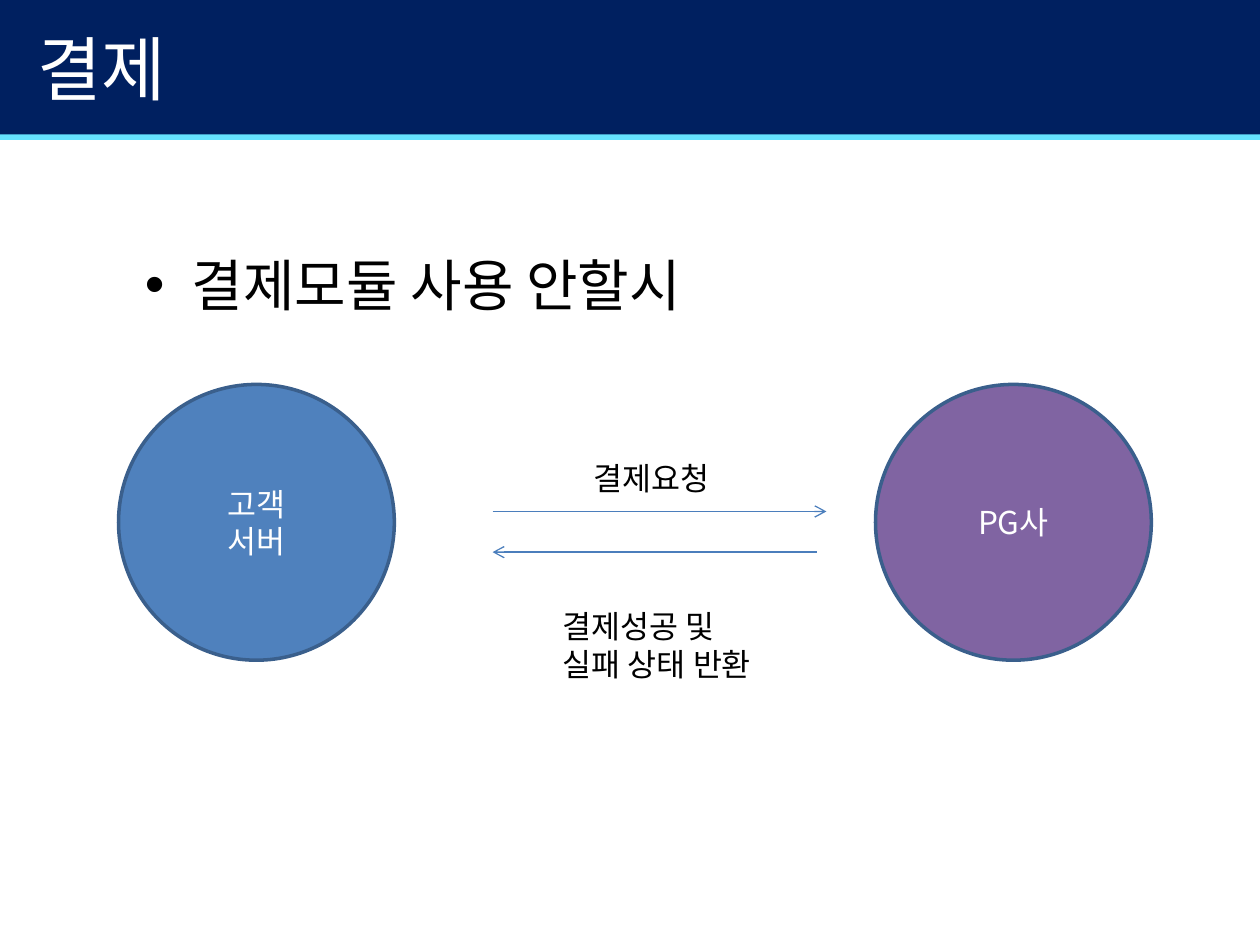
import pptx
import pptx.dml.color
import pptx.enum.shapes
import pptx.enum.text
import pptx.oxml.ns
import pptx.util
from lxml import etree

Cm, Pt = pptx.util.Cm, pptx.util.Pt
MSO_SHAPE = pptx.enum.shapes.MSO_SHAPE
ALIGN = pptx.enum.text.PP_ALIGN
ANCHOR = pptx.enum.text.MSO_ANCHOR
qn = pptx.oxml.ns.qn

# Content: positions and sizes in cm
FONT = "Noto Sans CJK KR"
TITLE = "결제"
BULLET = "결제모듈 사용 안할시"
BANDS = [(2.69, 0.13, "65E2FF"), (0, 2.71, "002060")]  # top, height, fill
CIRCLE_TOP, CIRCLE_SIZE = 7.75, 5.56
CIRCLES = [("고객\n서버", 2.39, "4F81BD"), ("PG사", 17.65, "8064A2")]
ARROWS = [(9.93, 16.66, 10.31), (16.46, 9.93, 11.13)]  # start, end, height
LABELS = [
    ("결제요청", (11.71, 9.12, 3.07, 1.02)),
    ("결제성공 및\n실패 상태 반환", (11.1, 12.12, 4.83, 1.8)),
]


def color(hex_string):
    return pptx.dml.color.RGBColor.from_string(hex_string)


def write(shape, text, size=18, fill="000000", align=ALIGN.LEFT,
          anchor=ANCHOR.TOP, wrap=True, bullet=False):
    frame = shape.text_frame
    frame.text = text
    frame.word_wrap = wrap
    frame.vertical_anchor = anchor
    for paragraph in frame.paragraphs:
        paragraph.alignment = align
        for run in paragraph.runs:
            run.font.size = Pt(size)
            run.font.name = FONT
            run.font.color.rgb = color(fill)
            etree.SubElement(run.font._element, qn("a:ea"), typeface=FONT)
        if bullet:
            paragraph.space_before = Pt(size * 0.2)
            properties = paragraph._p.get_or_add_pPr()
            properties.set("marL", str(Cm(0.95)))
            properties.set("indent", str(-Cm(0.95)))
            etree.SubElement(properties, qn("a:buFont"), typeface="Arial")
            etree.SubElement(properties, qn("a:buChar"), char="•")


def add_text(slide, text, box, **text_format):
    shape = slide.shapes.add_textbox(*map(Cm, box))
    write(shape, text, **text_format)


def add_shape(slide, kind, box, fill, line=None):
    shape = slide.shapes.add_shape(kind, *map(Cm, box))
    shape.shadow.inherit = False
    shape.fill.solid()
    shape.fill.fore_color.rgb = color(fill)
    if line:
        shape.line.color.rgb = color(line)
        shape.line.width = Pt(2)
    else:
        shape.line.fill.background()
    return shape


def add_arrow(slide, start, end, height):
    arrow = slide.shapes.add_connector(
        pptx.enum.shapes.MSO_CONNECTOR.STRAIGHT,
        Cm(start), Cm(height), Cm(end), Cm(height))
    arrow.line.color.rgb = color("4B7EBC")
    arrow.line.width = Pt(0.75)
    etree.SubElement(arrow.line._get_or_add_ln(), qn("a:tailEnd"), type="arrow")
    etree.SubElement(arrow._element.spPr, qn("a:effectLst"))


def main():
    presentation = pptx.Presentation()
    presentation.slide_width, presentation.slide_height = Cm(25.4), Cm(19.05)
    slide = presentation.slides.add_slide(presentation.slide_layouts[6])

    # Header and bullet
    for top, height, fill in BANDS:
        add_shape(slide, MSO_SHAPE.RECTANGLE, (-0.02, top, 25.42, height), fill)
    add_text(slide, TITLE, (0.5, -0.23, 22.86, 3.18), size=40, fill="FFFFFF",
             anchor=ANCHOR.MIDDLE)
    add_text(slide, BULLET, (2.67, 4.93, 20.07, 11.2), size=32, bullet=True)

    # Parties
    for text, left, fill in CIRCLES:
        box = (left, CIRCLE_TOP, CIRCLE_SIZE, CIRCLE_SIZE)
        circle = add_shape(slide, MSO_SHAPE.OVAL, box, fill, line="3A5F8C")
        write(circle, text, fill="FFFFFF", align=ALIGN.CENTER, anchor=ANCHOR.MIDDLE)

    # Request and response
    for start, end, height in ARROWS:
        add_arrow(slide, start, end, height)
    for text, box in LABELS:
        add_text(slide, text, box, wrap=False)

    presentation.save("out.pptx")


if __name__ == "__main__":
    main()
